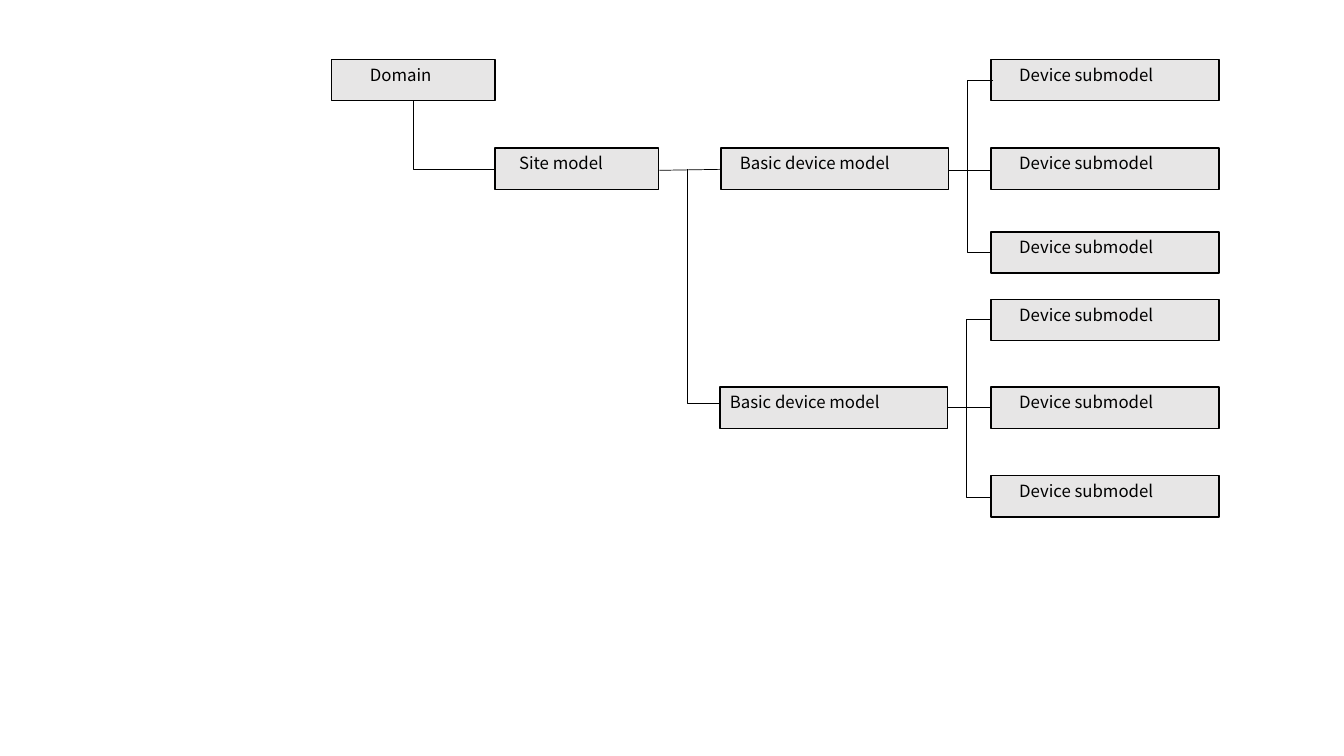
import lxml.etree
import pptx
import pptx.dml.color
import pptx.enum.shapes
import pptx.oxml.ns
import pptx.util

Inches = pptx.util.Inches
Pt = pptx.util.Pt
qn = pptx.oxml.ns.qn
KIND = pptx.enum.shapes.MSO_CONNECTOR
RECT = pptx.enum.shapes.MSO_SHAPE.RECTANGLE
BLACK = pptx.dml.color.RGBColor(0, 0, 0)
GREY = pptx.dml.color.RGBColor(0xE7, 0xE6, 0xE6)
FONT = "Noto Sans CJK SC"
HIGH = 0.41  # height of every box


class Chart:
    """Holds the slide and the style of the model tree."""

    def __init__(self, slide):
        """Keep the slide to draw on."""
        self.slide = slide

    def box(self, left, top, width):
        """Draw one grey box."""
        box = self.slide.shapes.add_shape(
            RECT, Inches(left), Inches(top), Inches(width), Inches(HIGH))
        box.shadow.inherit = False
        box.fill.solid()
        box.fill.fore_color.rgb = GREY
        box.line.color.rgb = BLACK
        box.line.width = Pt(1)

    def label(self, text, left, top, width):
        """Write one line of text."""
        label = self.slide.shapes.add_textbox(
            Inches(left), Inches(top), Inches(width), Inches(0.24))
        frame = label.text_frame
        frame.word_wrap = True
        frame.margin_top = frame.margin_bottom = 0
        frame.text = text
        font = frame.paragraphs[0].runs[0].font
        font.name = FONT
        font.size = Pt(12)
        font.color.rgb = BLACK

    def node(self, text, left, top, width, shift, room):
        """Draw a box and its label, moved right by shift."""
        self.box(left, top, width)
        self.label(text, left + shift, top + 0.05, room)

    def line(self, start, end, kind=KIND.STRAIGHT):
        """Draw a thin link between two points."""
        link = self.slide.shapes.add_connector(
            kind, *[Inches(value) for value in start + end])
        link.line.color.rgb = BLACK
        link.line.width = Pt(0.5)
        lxml.etree.SubElement(link._element.spPr, qn("a:effectLst"))
        return link

    def bend(self, start, end, trunk):
        """Draw a link whose upright part stands at x = trunk."""
        link = self.line(start, end, KIND.ELBOW)
        ratio = (trunk - start[0]) / (end[0] - start[0])
        guides = link._element.spPr.find(qn("a:prstGeom")).find(qn("a:avLst"))
        lxml.etree.SubElement(guides, qn("a:gd"), name="adj1",
                              fmla=f"val {round(ratio * 100000)}")


deck = pptx.Presentation()
deck.slide_width = Inches(13.33)
deck.slide_height = Inches(7.5)
chart = Chart(deck.slides.add_slide(deck.slide_layouts[6]))

chart.node("Domain", 3.29, 0.59, 1.62, 0.28, 1.05)
chart.node("Site model", 4.91, 1.47, 1.62, 0.14, 1.36)
chart.node("Basic device model", 7.15, 1.47, 2.26, 0.09, 2)
chart.node("Basic device model", 7.14, 3.84, 2.26, 0, 2.26)
for top in (0.59, 1.47, 2.3, 2.97, 3.84, 4.72):
    chart.node("Device submodel", 9.83, top, 2.26, 0.18, 2.26)

chart.bend((4.1, 1), (4.91, 1.68), 4.1)
chart.line((6.54, 1.69), (7.15, 1.68))
chart.bend((6.82, 1.68), (7.14, 4), 6.82)
chart.bend((9.85, 0.8), (9.83, 2.5), 9.6)
chart.line((9.41, 1.69), (9.83, 1.69))
chart.bend((9.84, 3.17), (9.82, 4.93), 9.59)
chart.line((9.4, 4.04), (9.83, 4.04))

deck.save("out.pptx")
